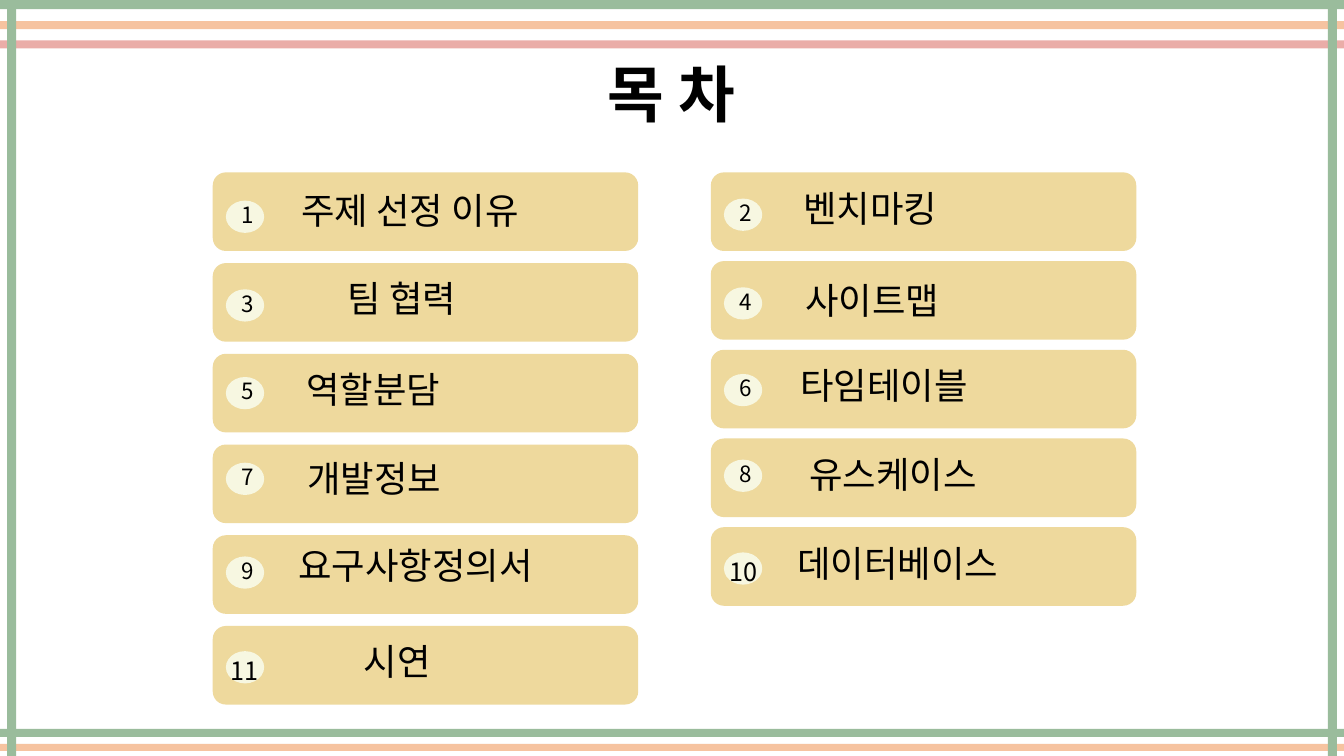
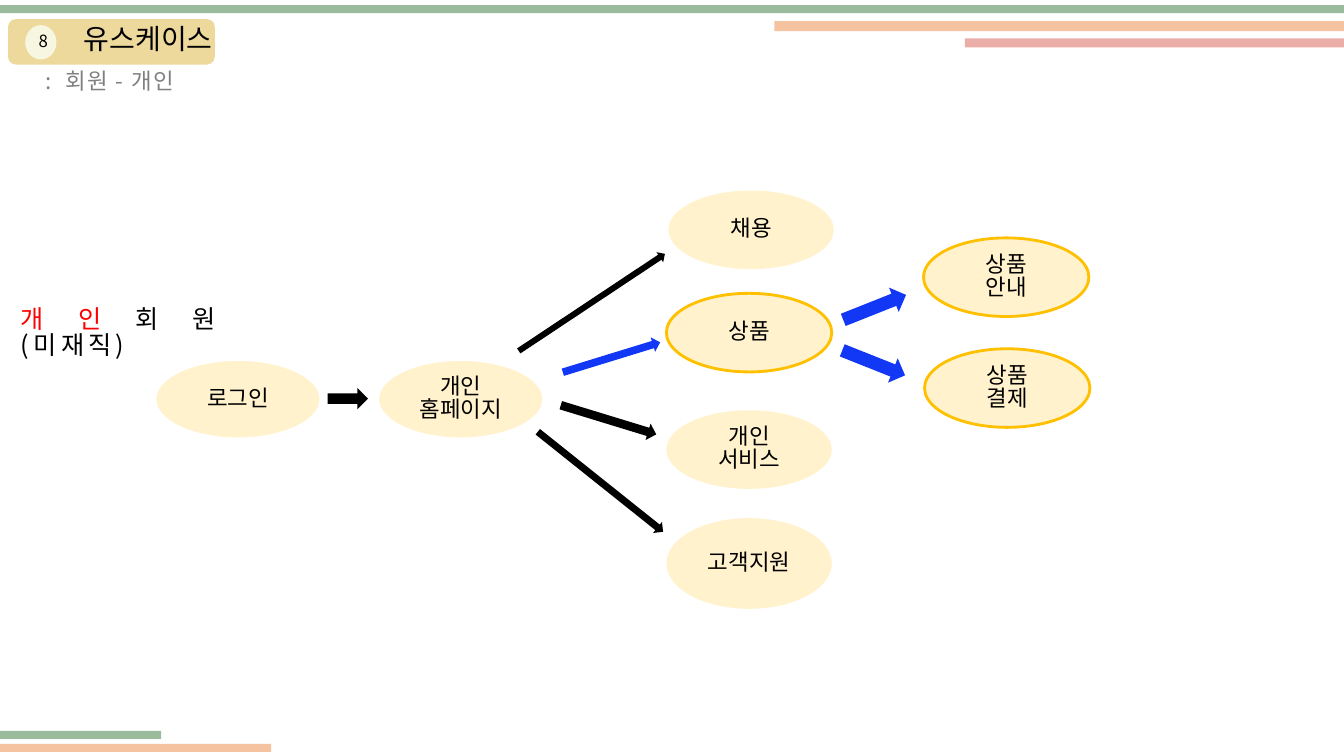
from pptx import Presentation
from pptx.dml.color import RGBColor
from pptx.enum.shapes import MSO_SHAPE
from pptx.enum.text import MSO_ANCHOR, MSO_AUTO_SIZE, PP_ALIGN
from pptx.oxml.ns import qn
from pptx.util import Inches, Pt
from lxml.etree import SubElement

FONT = "Noto Sans CJK KR"
LINE_SPACING = 0.85
BLACK = "000000"
WHITE = "FFFFFF"
RED = "FF0000"
GREY = "808080"
BLUE = "1238F6"
GREEN = "9ABC9C"
ORANGE = "F6C3A0"
PINK = "EAADA8"
SAND = "EED99D"
IVORY = "F7F7E1"
CREAM = "FFF2CC"
GOLD = "FFC000"

CARD_SIZE = (4.22, 0.78)
COLUMNS = [
    (2.11, 0.9, [
        ("1", "주제 선정 이유", 2.89, 1.88, 1.99),
        ("3", "팀 협력", 3.35, 2.76, 2.87),
        ("5", "역할분담", 2.94, 3.66, 3.74),
        ("7", "개발정보", 2.95, 4.54, 4.59),
        ("9", "요구사항정의서", 2.86, 5.41, 5.52),
        ("11", "시연", 3.51, 6.36, 6.46),
    ]),
    (7.05, 0.88, [
        ("2", "벤치마킹", 7.87, 1.86, 1.97),
        ("4", "사이트맵", 7.89, 2.78, 2.85),
        ("6", "타임테이블", 7.84, 3.62, 3.71),
        ("8", "유스케이스", 7.93, 4.5, 4.56),
        ("10", "데이터베이스", 7.81, 5.39, 5.48),
    ]),
]
CONTENTS_BANDS = [
    (0, 0, 13.33, 0.09, GREEN),
    (0, 0.4, 13.33, 0.08, PINK),
    (0, 0.21, 13.33, 0.08, ORANGE),
    (0, 7.38, 13.33, 0.07, ORANGE),
    (0.07, 0, 0.09, 7.5, GREEN),
    (13.17, 0, 0.09, 7.5, GREEN),
    (0, 7.23, 13.33, 0.08, GREEN),
]
USE_CASE_BANDS = [
    (0, 0.05, 13.33, 0.08, GREEN),
    (7.68, 0.21, 5.65, 0.1, ORANGE),
    (9.57, 0.38, 3.76, 0.09, PINK),
    (0, 7.25, 1.6, 0.08, GREEN),
    (0, 7.38, 2.69, 0.08, ORANGE),
]
NODES = [
    (1.54, 3.57, 0.78, ["로그인"], (WHITE, 1.5)),
    (3.75, 3.57, 0.78, ["개인", "홈페이지"], (WHITE, 1.5)),
    (6.63, 1.89, 0.78, ["채용"], None),
    (6.61, 2.91, 0.78, ["상품"], (GOLD, 2)),
    (6.61, 4.07, 0.78, ["개인", "서비스"], None),
    (6.61, 5.14, 0.9, ["고객지원"], None),
    (9.16, 2.36, 0.78, ["상품", "안내"], (GOLD, 2)),
    (9.17, 3.46, 0.78, ["상품", "결제"], (GOLD, 2)),
]
ARROWS = [
    (3.25, 3.85, 0.4, 0.21, 0, BLACK),
    (5, 2.94, 1.74, 0.12, 326.4, BLACK),
    (5.56, 3.47, 1.01, 0.15, 342.9, BLUE),
    (5.54, 4.08, 0.99, 0.17, 17, BLACK),
    (5.16, 4.71, 1.59, 0.14, 38.6, BLACK),
    (8.34, 2.92, 0.67, 0.26, 338.3, BLUE),
    (8.33, 3.47, 0.67, 0.26, 21.7, BLUE),
]


def color(value):
    return RGBColor.from_string(value)


def add_span(para, text, size, fill=BLACK, bold=False, spacing=0):
    span = para.add_run()
    span.text = text
    font = span.font
    font.size = Pt(size)
    font.bold = bold
    font.color.rgb = color(fill)
    font.name = FONT
    properties = span._r.get_or_add_rPr()
    SubElement(properties, qn("a:ea")).set("typeface", FONT)
    if spacing:
        properties.set("spc", str(spacing * 100))


def style_para(para, align):
    para.alignment = align
    para.line_spacing = LINE_SPACING


def add_figure(page, kind, left, top, width, height, fill, outline=None):
    figure = page.shapes.add_shape(
        kind, Inches(left), Inches(top), Inches(width), Inches(height))
    figure.shadow.inherit = False
    figure.fill.solid()
    figure.fill.fore_color.rgb = color(fill)
    if outline:
        figure.line.color.rgb = color(outline[0])
        figure.line.width = Pt(outline[1])
    else:
        figure.line.fill.background()
    return figure


def add_bands(page, bands):
    for left, top, width, height, fill in bands:
        add_figure(page, MSO_SHAPE.RECTANGLE, left, top, width, height, fill)


def add_card(page, left, top, width, height):
    add_figure(page, MSO_SHAPE.ROUNDED_RECTANGLE, left, top, width, height, SAND)


def set_title(page, text, left, top, width, height, size, align, bold=False):
    title = page.shapes.title
    page.shapes._spTree.append(title._element)
    title.left, title.top = Inches(left), Inches(top)
    title.width, title.height = Inches(width), Inches(height)
    frame = title.text_frame
    frame.auto_size = MSO_AUTO_SIZE.NONE
    frame.word_wrap = False
    frame.vertical_anchor = MSO_ANCHOR.TOP
    para = frame.paragraphs[0]
    style_para(para, align)
    add_span(para, text, size, bold=bold)


def add_label(page, left, top, width, height, spans, size,
              align=PP_ALIGN.LEFT, spacing=0):
    box = page.shapes.add_textbox(
        Inches(left), Inches(top), Inches(width), Inches(height))
    box.text_frame.word_wrap = True
    para = box.text_frame.paragraphs[0]
    style_para(para, align)
    for text, fill in spans:
        add_span(para, text, size, fill, spacing=spacing)


def add_oval(page, left, top, width, height, fill, lines, size, outline=None):
    oval = add_figure(
        page, MSO_SHAPE.OVAL, left, top, width, height, fill, outline)
    frame = oval.text_frame
    frame.word_wrap = False
    frame.vertical_anchor = MSO_ANCHOR.MIDDLE
    frame.margin_left = frame.margin_right = 0
    frame.margin_top = frame.margin_bottom = 0
    for index, line in enumerate(lines):
        para = frame.add_paragraph() if index else frame.paragraphs[0]
        style_para(para, PP_ALIGN.CENTER)
        add_span(para, line, size)
    return oval


def add_badge(page, left, top, width, height, number, size):
    badge = add_oval(page, left, top, width, height, IVORY, [number], size)
    if len(number) == 1:
        badge.text_frame.margin_left = Inches(0.05)
    else:
        badge.text_frame.margin_top = Inches(0.1)


def add_arrow(page, left, top, width, height, angle, fill):
    arrow = add_figure(
        page, MSO_SHAPE.RIGHT_ARROW, left, top, width, height, fill)
    arrow.rotation = angle


def add_page(deck):
    return deck.slides.add_slide(deck.slide_layouts.get_by_name("Title Only"))


def build_contents(deck):
    page = add_page(deck)
    add_bands(page, CONTENTS_BANDS)
    set_title(page, "목 차", 5.82, 0.62, 1.68, 0.84, 44, PP_ALIGN.CENTER, True)
    for left, step, entries in COLUMNS:
        for row, entry in enumerate(entries):
            number, label, label_left, label_top, badge_top = entry
            add_card(page, left, 1.71 + row * step, *CARD_SIZE)
            size = 16 if len(number) == 1 else 18
            add_badge(page, left + 0.13, badge_top, 0.38, 0.32, number, size)
            add_label(page, label_left, label_top, 2.8, 0.54,
                      [(label, BLACK)], 26)


def build_use_case(deck):
    page = add_page(deck)
    add_bands(page, USE_CASE_BANDS)
    add_card(page, 0.08, 0.19, 2.05, 0.45)
    add_badge(page, 0.25, 0.25, 0.31, 0.34, "8", 12)
    set_title(page, "유스케이스", 0.73, 0.21, 2.05, 0.44, 20, PP_ALIGN.LEFT)
    add_label(page, 0.35, 0.66, 1.78, 0.37, [(":  회원 - 개인", GREY)], 16,
              spacing=1)
    add_label(page, 0.11, 3.01, 2.17, 0.4,
              [("개인", RED), ("회원 (미재직)", BLACK)], 18,
              PP_ALIGN.JUSTIFY, 3)
    for left, top, height, lines, outline in NODES:
        add_oval(page, left, top, 1.64, height, CREAM, lines, 16, outline)
    for arrow in ARROWS:
        add_arrow(page, *arrow)


def main():
    deck = Presentation()
    deck.slide_width = Inches(13.33)
    deck.slide_height = Inches(7.5)
    build_contents(deck)
    build_use_case(deck)
    deck.save("out.pptx")


if __name__ == "__main__":
    main()
